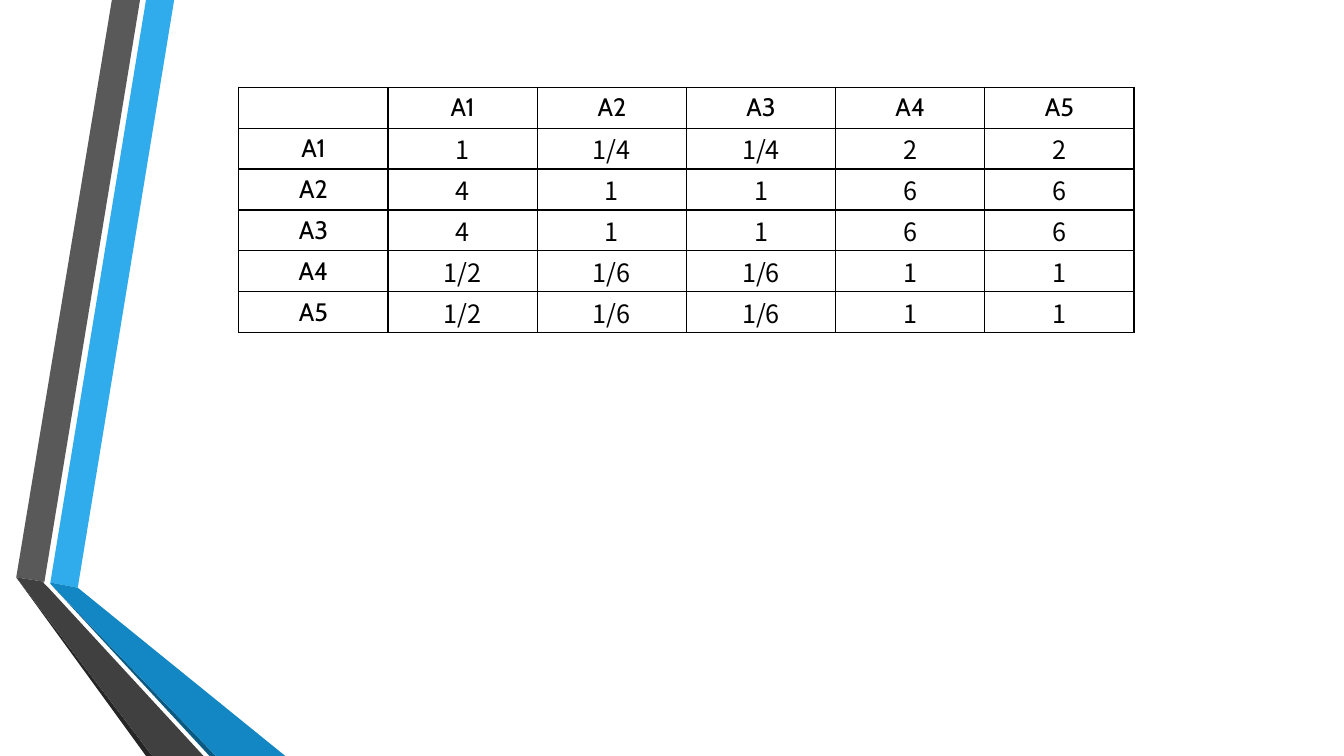
from lxml import etree
from pptx import Presentation
from pptx.dml.color import RGBColor
from pptx.enum.text import MSO_ANCHOR, PP_ALIGN
from pptx.oxml.ns import qn
from pptx.util import Cm, Pt

MIDDLE, TOP = MSO_ANCHOR.MIDDLE, MSO_ANCHOR.TOP
CENTER = PP_ALIGN.CENTER

COLORS = {
    "sky": "30ACEC", "blue": "1287C3", "navy": "0C5A82",
    "gray": "595959", "dark": "404040", "coal": "262626",
    "black": "000000", "white": "FFFFFF",
}

# Corner points in centimetres, from back to front
BANDS = [
    ("sky", [(1.27, 14.68), (1.96, 14.81), (4.39, 0), (3.68, 0)]),
    ("gray", [(3.53, 0), (2.82, 0), (0.41, 14.55), (1.12, 14.66)]),
    ("coal", [(0.41, 14.55), (3.68, 19.05), (3.84, 19.05)]),
    ("navy", [(1.27, 14.71), (5.28, 19.05), (5.44, 19.05)]),
    ("blue", [(1.27, 14.71), (5.44, 19.05), (7.19, 19.05),
              (1.96, 14.81), (1.27, 14.68)]),
    ("dark", [(5.13, 19.05), (1.22, 14.81), (1.09, 14.68), (1.12, 14.66),
              (0.41, 14.55), (3.84, 19.05)]),
]

ROWS = [
    ["", "A1", "A2", "A3", "A4", "A5"],
    ["A1", "1", "1/4", "1/4", "2", "2"],
    ["A2", "4", "1", "1", "6", "6"],
    ["A3", "4", "1", "1", "6", "6"],
    ["A4", "1/2", "1/6", "1/6", "1", "1"],
    ["A5", "1/2", "1/6", "1/6", "1", "1"],
]


def rgb(name):
    return RGBColor.from_string(COLORS[name])


def add_band(slide, color, points):
    # The builder takes whole units, so one unit is a tenth of a millimetre
    start, *rest = [(round(x * 100), round(y * 100)) for x, y in points]
    pen = slide.shapes.build_freeform(*start, scale=Cm(0.01))
    pen.add_line_segments(rest, close=True)
    band = pen.convert_to_shape()
    band.shadow.inherit = False
    band.fill.solid()
    band.fill.fore_color.rgb = rgb(color)
    band.line.fill.background()


def add_border(cell):
    """Draw a thin black line on all four sides of a cell."""
    props = cell._tc.get_or_add_tcPr()
    for i, side in enumerate(("lnL", "lnR", "lnT", "lnB")):
        line = etree.Element(qn(f"a:{side}"), w=str(Pt(1)))
        fill = etree.SubElement(line, qn("a:solidFill"))
        etree.SubElement(fill, qn("a:srgbClr"), val=COLORS["black"])
        props.insert(i, line)


def fill_cell(cell, text, label):
    cell.fill.solid()
    cell.fill.fore_color.rgb = rgb("white")
    cell.vertical_anchor = TOP if label else MIDDLE
    if not label:
        cell.margin_left = cell.margin_right = Cm(0.18)
        cell.margin_top = cell.margin_bottom = 0
    cell.text = text
    para = cell.text_frame.paragraphs[0]
    para.alignment = CENTER
    para.font.size = Pt(18)
    para.font.name = "Cabin" if label else "Noto Sans CJK SC"
    para.font.color.rgb = rgb("black")
    add_border(cell)


def add_grid(slide, rows):
    count, width = len(rows), len(rows[0])
    frame = slide.shapes.add_table(count, width, Cm(6.02), Cm(2.2),
                                   Cm(3.76) * width, Cm(1.03) * count)
    table = frame.table
    table.first_row = table.horz_banding = False
    for r, row in enumerate(rows):
        for c, text in enumerate(row):
            fill_cell(table.cell(r, c), text, label=r == 0 or c == 0)


def main():
    deck = Presentation()
    deck.slide_width, deck.slide_height = Cm(33.87), Cm(19.05)
    slide = deck.slides.add_slide(deck.slide_layouts[6])
    for color, points in BANDS:
        add_band(slide, color, points)
    add_grid(slide, ROWS)
    deck.save("out.pptx")


if __name__ == "__main__":
    main()
